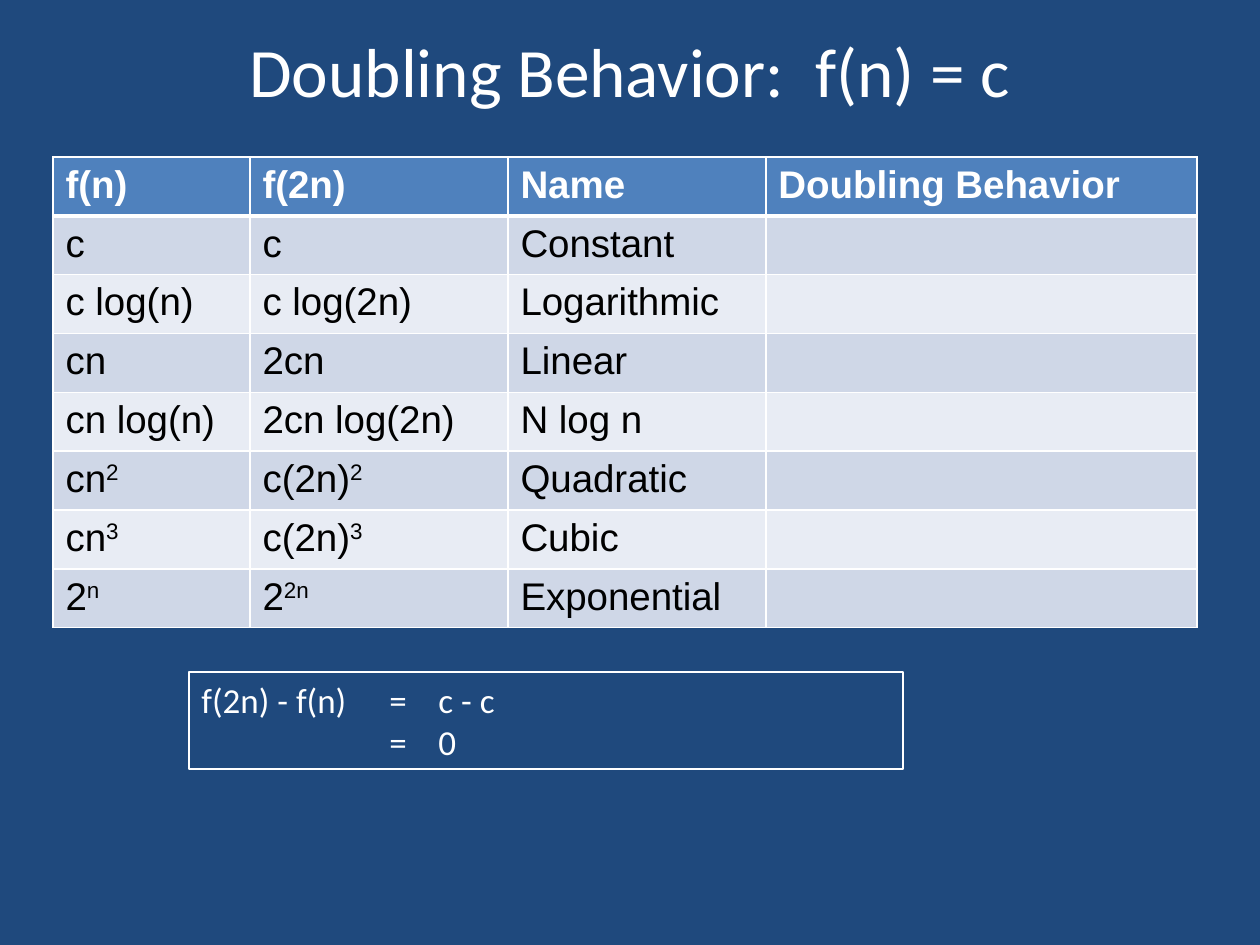
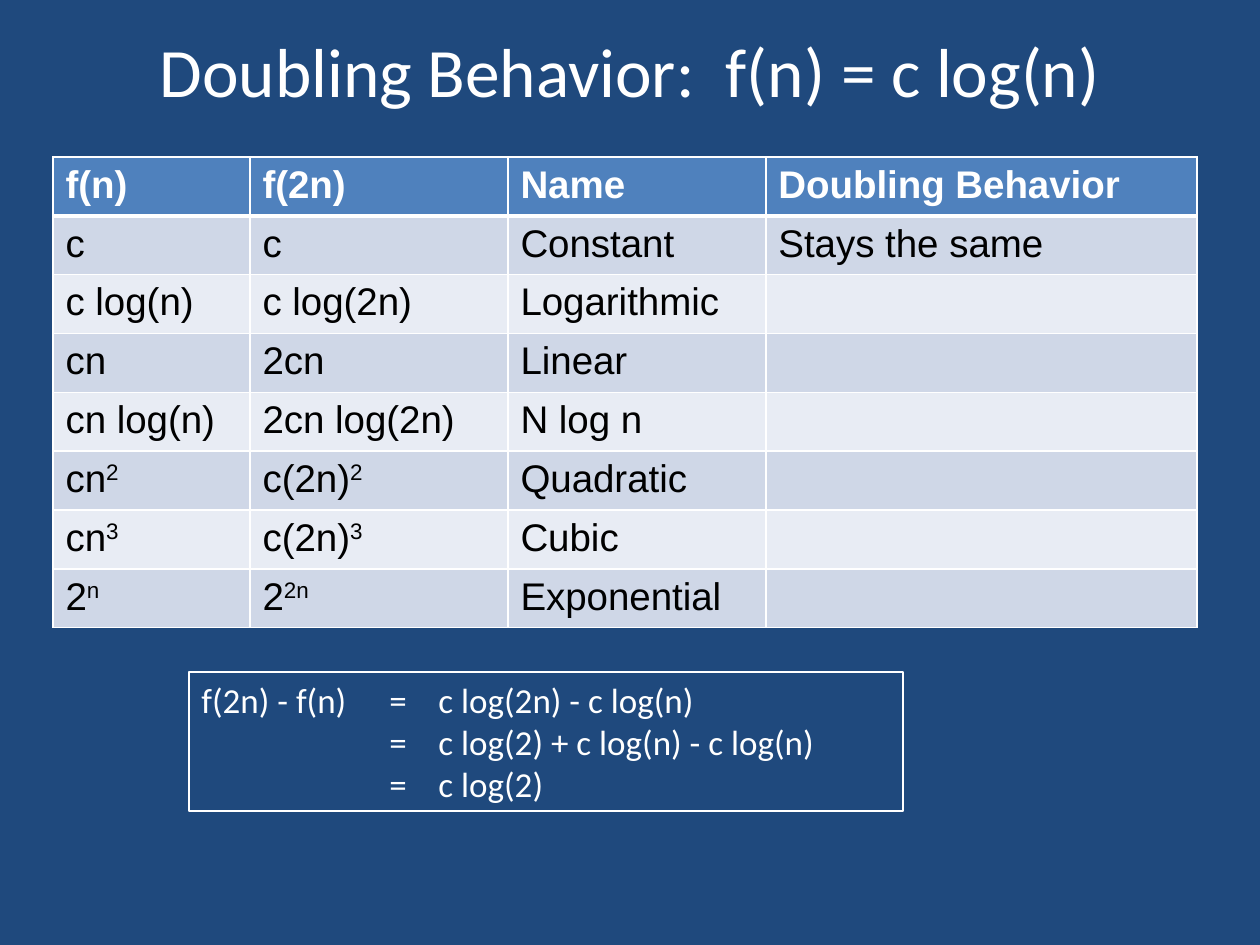
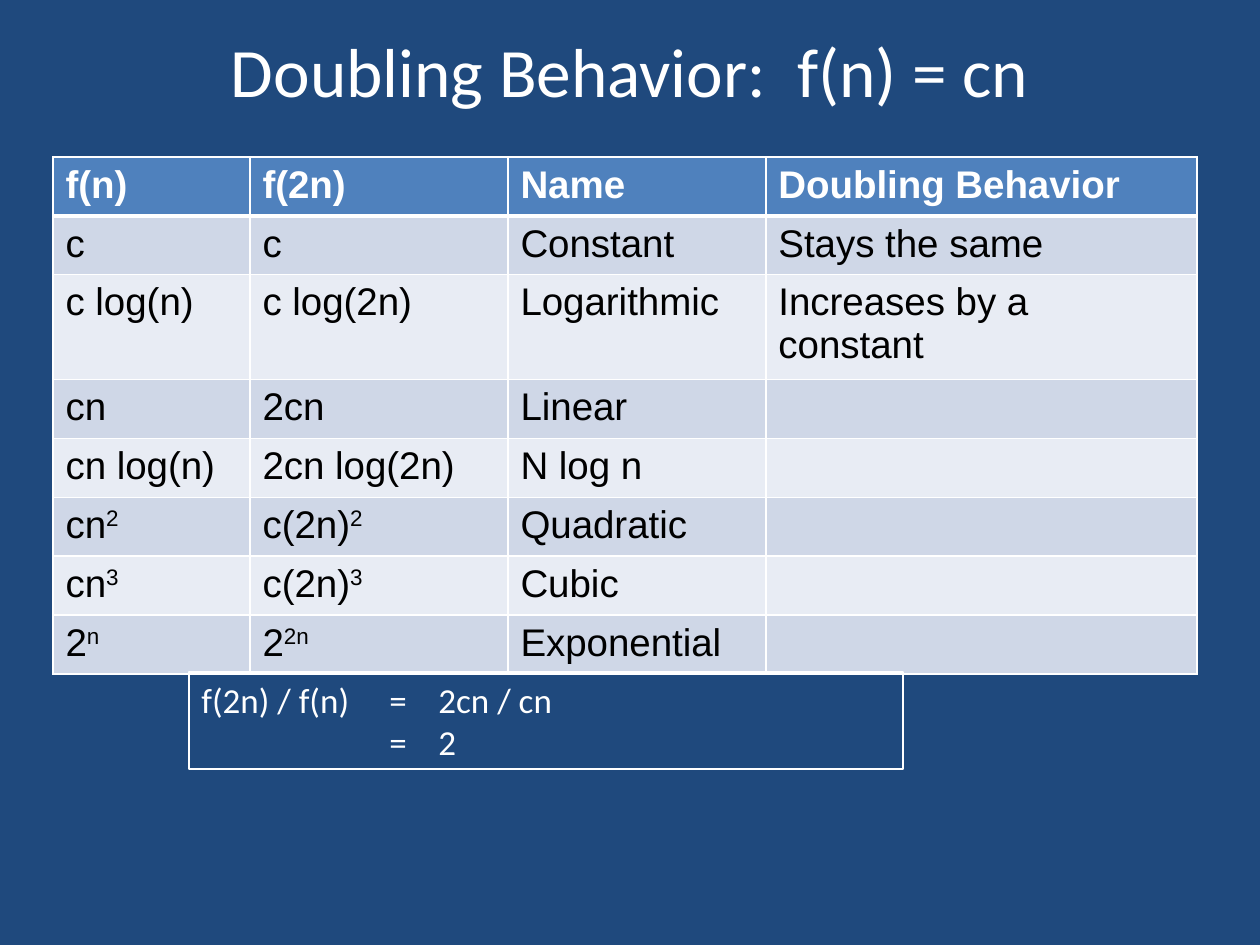
"""Builds three slides on how common growth functions behave when n doubles."""
from lxml import etree
from pptx import Presentation
from pptx.dml.color import RGBColor
from pptx.enum.shapes import MSO_SHAPE
from pptx.enum.text import MSO_ANCHOR, PP_ALIGN
from pptx.oxml.ns import qn
from pptx.util import Pt

COLORS = {
    "background": "1F497D",
    "white": "FFFFFF",
    "black": "000000",
    "header": "4F81BD",
    "odd": "CFD7E7",
    "even": "E8ECF4",
}

HEADER = ["f(n)", "f(2n)", "Name", "Doubling Behavior"]
FUNCTIONS = [
    ("c", "c", "Constant"),
    ("c log(n)", "c log(2n)", "Logarithmic"),
    ("cn", "2cn", "Linear"),
    ("cn log(n)", "2cn log(2n)", "N log n"),
    ("cn^2", "c(2n)^2", "Quadratic"),
    ("cn^3", "c(2n)^3", "Cubic"),
    ("2^n", "2^2n", "Exponential"),
]
BEHAVIORS = ["Stays the same", "Increases by a constant"]

SLIDES = [
    {"function": "c", "compare": "f(2n) - f(n)", "steps": ["c - c", "0"]},
    {
        "function": "c log(n)",
        "compare": "f(2n) - f(n)",
        "steps": ["c log(2n) - c log(n)", "c log(2) + c log(n) - c log(n)", "c log(2)"],
    },
    {"function": "cn", "compare": "f(2n) / f(n)", "steps": ["2cn / cn", "2"]},
]

TITLE_FORMAT = {"name": "Calibri", "size": Pt(39.6), "color": "white"}
HEADER_FORMAT = {"name": "Arial", "size": Pt(22), "bold": True, "color": "white"}
BODY_FORMAT = {"name": "Arial", "size": Pt(22), "bold": False, "color": "black"}
STEP_FORMAT = {"name": "Calibri", "size": Pt(20), "color": "white"}

TITLE_BOX = (63, 21, 1134, 98)
TABLE_LEFT, TABLE_TOP, ROW_HEIGHT = 53, 157, 52
COLUMN_WIDTHS = [197, 258, 258, 431]
STEPS_LEFT, STEPS_TOP, STEPS_WIDTH = 189, 672, 714
STEP_HEIGHT, STEPS_PADDING = 42, 13
STEP_TABS = [188, 237]


def px(length):
    return round(length * 914400 / 126)


def rgb(name):
    return RGBColor.from_string(COLORS[name])


def format_runs(paragraph, style):
    for run in paragraph.runs:
        for key, value in style.items():
            if key == "color":
                run.font.color.rgb = rgb(value)
            else:
                setattr(run.font, key, value)


def add_title(slide, text):
    frame = slide.shapes.add_textbox(*map(px, TITLE_BOX)).text_frame
    frame.word_wrap = True
    frame.vertical_anchor = MSO_ANCHOR.MIDDLE
    paragraph = frame.paragraphs[0]
    paragraph.text = text
    paragraph.alignment = PP_ALIGN.CENTER
    format_runs(paragraph, TITLE_FORMAT)


def set_borders(cell, widths):
    properties = cell._tc.get_or_add_tcPr()
    for side, width in widths.items():
        line = etree.SubElement(properties, qn(f"a:ln{side}"), w=str(Pt(width)))
        fill = etree.SubElement(line, qn("a:solidFill"))
        etree.SubElement(fill, qn("a:srgbClr"), val=COLORS["white"])


def fill_cell(cell, text, row):
    set_borders(cell, {"L": 1, "R": 1, "T": 3 if row == 1 else 1, "B": 3 if row == 0 else 1})
    cell.fill.solid()
    cell.fill.fore_color.rgb = rgb("header" if row == 0 else "odd" if row % 2 else "even")
    base, _, exponent = text.partition("^")
    paragraph = cell.text_frame.paragraphs[0]
    if base:
        paragraph.add_run().text = base
    if exponent:
        run = paragraph.add_run()
        run.text = exponent
        run._r.get_or_add_rPr().set("baseline", "30000")
    format_runs(paragraph, BODY_FORMAT if row else HEADER_FORMAT)


def add_function_table(slide, behaviors):
    remaining = len(FUNCTIONS) - len(behaviors)
    last_column = behaviors + [""] * remaining
    rows = [HEADER] + [[*function, last] for function, last in zip(FUNCTIONS, last_column)]
    box = (TABLE_LEFT, TABLE_TOP, sum(COLUMN_WIDTHS), ROW_HEIGHT * len(rows))
    table = slide.shapes.add_table(len(rows), len(HEADER), *map(px, box)).table
    for column, width in zip(table.columns, COLUMN_WIDTHS):
        column.width = px(width)
    for row, texts in enumerate(rows):
        for column, text in enumerate(texts):
            fill_cell(table.cell(row, column), text, row)


def add_steps(slide, compare, steps):
    height = STEP_HEIGHT * len(steps) + STEPS_PADDING
    box = (STEPS_LEFT, STEPS_TOP, STEPS_WIDTH, height)
    shape = slide.shapes.add_shape(MSO_SHAPE.RECTANGLE, *map(px, box))
    shape.shadow.inherit = False
    shape.fill.background()
    shape.line.color.rgb = rgb("white")
    shape.line.width = Pt(0.75)
    shape.text_frame.word_wrap = True
    shape.text_frame.vertical_anchor = MSO_ANCHOR.TOP
    paragraph = shape.text_frame.paragraphs[0]
    paragraph.text = compare + "\n".join(f"\t=\t{step}" for step in steps)
    paragraph.alignment = PP_ALIGN.LEFT
    tabs = etree.SubElement(paragraph._p.get_or_add_pPr(), qn("a:tabLst"))
    for position in STEP_TABS:
        etree.SubElement(tabs, qn("a:tab"), pos=str(px(position)), algn="l")
    format_runs(paragraph, STEP_FORMAT)


presentation = Presentation()
presentation.slide_width, presentation.slide_height = px(1260), px(945)
background = presentation.slide_master.background.fill
background.solid()
background.fore_color.rgb = rgb("background")
for index, content in enumerate(SLIDES):
    slide = presentation.slides.add_slide(presentation.slide_layouts[6])
    add_title(slide, f"Doubling Behavior:  f(n) = {content['function']}")
    add_function_table(slide, BEHAVIORS[:index])
    add_steps(slide, content["compare"], content["steps"])
presentation.save("out.pptx")
